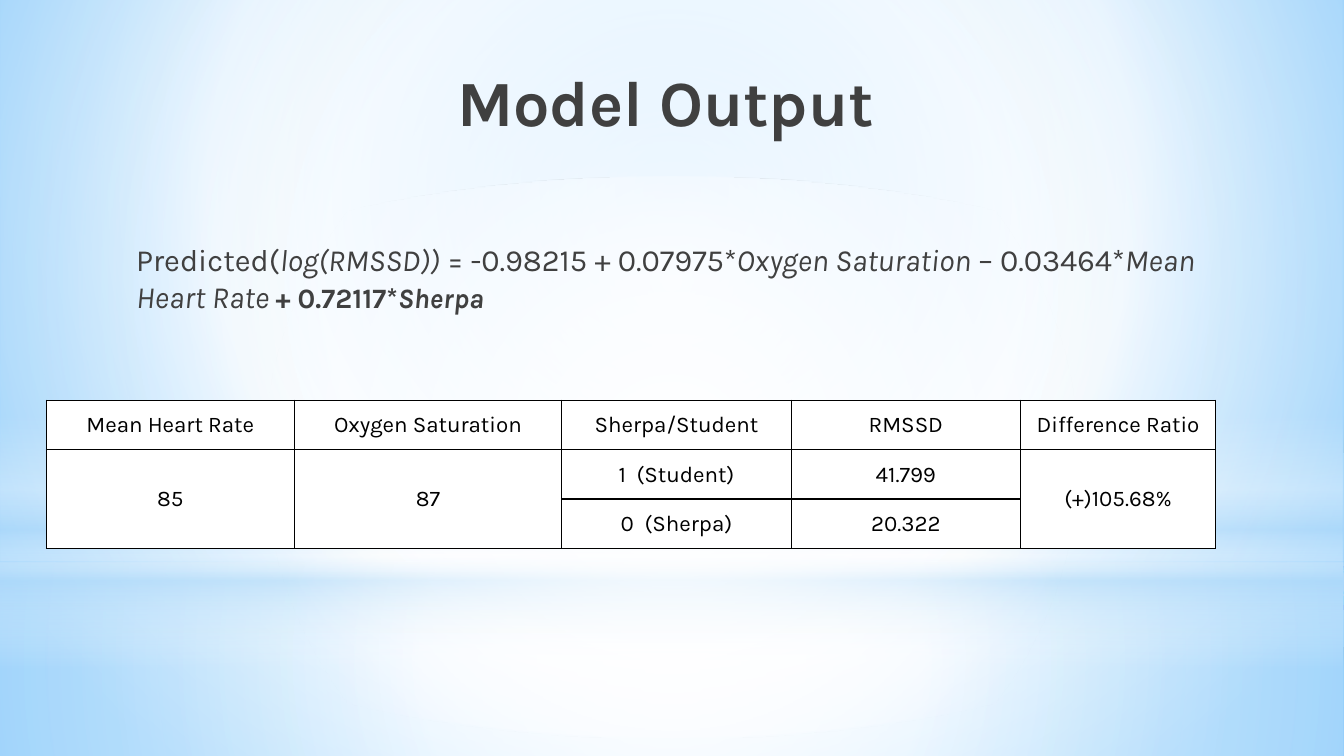
from lxml import etree
from pptx import Presentation
from pptx.dml.color import RGBColor
from pptx.enum.shapes import MSO_SHAPE
from pptx.enum.text import MSO_ANCHOR, MSO_AUTO_SIZE, PP_ALIGN
from pptx.oxml import parse_xml
from pptx.oxml.ns import nsdecls, qn
from pptx.util import Inches, Pt

RECTANGLE, ELLIPSE = MSO_SHAPE.RECTANGLE, MSO_SHAPE.OVAL
TOP, MIDDLE = MSO_ANCHOR.TOP, MSO_ANCHOR.MIDDLE
LEFT, CENTER = PP_ALIGN.LEFT, PP_ALIGN.CENTER
NO_AUTOFIT = MSO_AUTO_SIZE.NONE

FONT = "Karla"
BLACK = RGBColor(0x00, 0x00, 0x00)
WHITE = RGBColor(0xFF, 0xFF, 0xFF)
CHARCOAL = RGBColor(0x40, 0x40, 0x40)
SKY = RGBColor(0x9E, 0xD5, 0xFF)
DEEP_SKY = RGBColor(0x5B, 0xB9, 0xFF)
PALE_BLUE = RGBColor(0xB4, 0xDC, 0xFA)

# Gradient stops: position %, colour, opacity %
BACKDROP = [(0, SKY, 100), (60, WHITE, 100), (100, DEEP_SKY, 100)]
FLOOR = [(0, WHITE, 91), (37, WHITE, 76), (100, PALE_BLUE, 79)]
WALL = [(0, WHITE, 89), (48, WHITE, 62), (100, PALE_BLUE, 79)]
HORIZON = [(0, WHITE, 0), (29, WHITE, 30), (45, PALE_BLUE, 40),
           (55, WHITE, 26), (65, PALE_BLUE, 60), (100, WHITE, 0)]
GLOW = [(0, WHITE, 100), (56, WHITE, 0)]

BACKDROP_FOCUS = (20, 10, 20, 60)
CENTER_FOCUS = (50, 50, 50, 50)

# Preset, top, height, stops, focus (None for a vertical gradient)
LIGHT_LAYERS = [
    (RECTANGLE, 5.58, 1.92, FLOOR, CENTER_FOCUS),
    (RECTANGLE, 0, 5.58, WALL, CENTER_FOCUS),
    (RECTANGLE, 4.12, 2.5, HORIZON, None),
    (ELLIPSE, 1.75, 5.58, GLOW, CENTER_FOCUS),
]

EQUATION = [
    ("Predicted(", {}),
    ("log(RMSSD))", {"italic": True}),
    (" = -0.98215 + 0.07975*", {}),
    ("Oxygen Saturation", {"italic": True}),
    (" – 0.03464*", {}),
    ("Mean Heart Rate ", {"italic": True}),
    ("+ 0.72117*", {"size": Pt(20), "bold": True}),
    ("Sherpa", {"size": Pt(20), "bold": True, "italic": True}),
]

COLUMN_WIDTHS = [2.46, 2.65, 2.28, 2.27, 1.94]
ROW_HEIGHT = 0.49
PREDICTIONS = [
    ["Mean Heart Rate", "Oxygen Saturation", "Sherpa/Student", "RMSSD", "Difference Ratio"],
    ["85", "87", "1  (Student)", "41.799", "(+)105.68%"],
    ["", "", "0  (Sherpa)", "20.322", ""],
]
MERGED_COLUMNS = [0, 1, 4]


def set_all(target, **values):
    for name, value in values.items():
        setattr(target, name, value)


def add_run(paragraph, text, size, color, **styles):
    run = paragraph.add_run()
    run.text = text
    set_all(run.font, **{"name": FONT, "size": size, "bold": False, "italic": False, **styles})
    run.font.color.rgb = color


def gradient_xml(stops, focus):
    stop_xml = "".join(
        f'<a:gs pos="{position * 1000}"><a:srgbClr val="{color}">'
        f'<a:alpha val="{opacity * 1000}"/></a:srgbClr></a:gs>'
        for position, color, opacity in stops)
    if focus:
        edges = " ".join(f'{side}="{inset * 1000}"' for side, inset in zip("ltrb", focus))
        direction = f'<a:path path="circle"><a:fillToRect {edges}/></a:path>'
    else:
        direction = '<a:lin ang="5400000" scaled="0"/>'
    return parse_xml(f'<a:gradFill {nsdecls("a")} rotWithShape="1">'
                     f'<a:gsLst>{stop_xml}</a:gsLst>{direction}</a:gradFill>')


def apply_gradient(fill, properties, stops, focus):
    fill.solid()
    properties.replace(properties.find(qn("a:solidFill")), gradient_xml(stops, focus))


def add_light_layer(slide, width, preset, top, height, stops, focus):
    layer = slide.shapes.add_shape(preset, 0, Inches(top), width, Inches(height))
    layer.shadow.inherit = False
    layer.line.fill.background()
    apply_gradient(layer.fill, layer.element.spPr, stops, focus)


def place_placeholder(placeholder, left, top, width, height):
    """Position a placeholder, bring it to the front and return its first paragraph."""
    set_all(placeholder, left=Inches(left), top=Inches(top),
            width=Inches(width), height=Inches(height))
    set_all(placeholder.text_frame, word_wrap=True, auto_size=NO_AUTOFIT, vertical_anchor=TOP)
    placeholder.element.getparent().append(placeholder.element)
    return placeholder.text_frame.paragraphs[0]


def add_title(slide):
    paragraph = place_placeholder(slide.shapes.title, 1.85, 0.57, 9.5, 1.25)
    paragraph.alignment = CENTER
    add_run(paragraph, "Model Output", Pt(46), CHARCOAL, bold=True)


def add_equation(slide):
    paragraph = place_placeholder(slide.placeholders[1], 1.2, 2.34, 11, 4.08)
    set_all(paragraph, alignment=LEFT, space_before=Pt(4), space_after=Pt(3))
    properties = paragraph._p.get_or_add_pPr()
    properties.set("marL", str(Inches(0.05)))
    properties.set("indent", "0")
    etree.SubElement(properties, qn("a:buNone"))
    for text, styles in EQUATION:
        add_run(paragraph, text, **{"size": Pt(22), "color": CHARCOAL, **styles})


def add_borders(cell):
    properties = cell._tc.get_or_add_tcPr()
    for side in "LRTB":
        properties.append(parse_xml(
            f'<a:ln{side} {nsdecls("a")} w="{Pt(1)}"><a:solidFill>'
            f'<a:srgbClr val="{BLACK}"/></a:solidFill></a:ln{side}>'))


def format_cell(cell, text):
    add_borders(cell)
    cell.fill.solid()
    cell.fill.fore_color.rgb = WHITE
    set_all(cell, vertical_anchor=MIDDLE, margin_left=Inches(0.01),
            margin_right=Inches(0.01), margin_top=Inches(0.01), margin_bottom=0)
    if text:
        paragraph = cell.text_frame.paragraphs[0]
        paragraph.alignment = CENTER
        add_run(paragraph, text, Pt(16), BLACK)


def add_prediction_table(slide):
    row_count = len(PREDICTIONS)
    table = slide.shapes.add_table(
        row_count, len(COLUMN_WIDTHS), Inches(0.46), Inches(3.97),
        Inches(sum(COLUMN_WIDTHS)), Inches(ROW_HEIGHT * row_count)).table
    set_all(table, first_row=False, horz_banding=False)
    for column, width in zip(table.columns, COLUMN_WIDTHS):
        column.width = Inches(width)
    for row, texts in zip(table.rows, PREDICTIONS):
        row.height = Inches(ROW_HEIGHT)
        for cell, text in zip(row.cells, texts):
            format_cell(cell, text)
    for column in MERGED_COLUMNS:
        table.cell(1, column).merge(table.cell(2, column))


def main():
    presentation = Presentation()
    set_all(presentation, slide_width=Inches(13.33), slide_height=Inches(7.5))
    slide = presentation.slides.add_slide(presentation.slide_layouts[1])

    background_fill = slide.background.fill
    background_properties = slide.element.find(".//" + qn("p:bgPr"))
    apply_gradient(background_fill, background_properties, BACKDROP, BACKDROP_FOCUS)
    for layer in LIGHT_LAYERS:
        add_light_layer(slide, presentation.slide_width, *layer)

    add_title(slide)
    add_equation(slide)
    add_prediction_table(slide)
    presentation.save("out.pptx")


if __name__ == "__main__":
    main()
